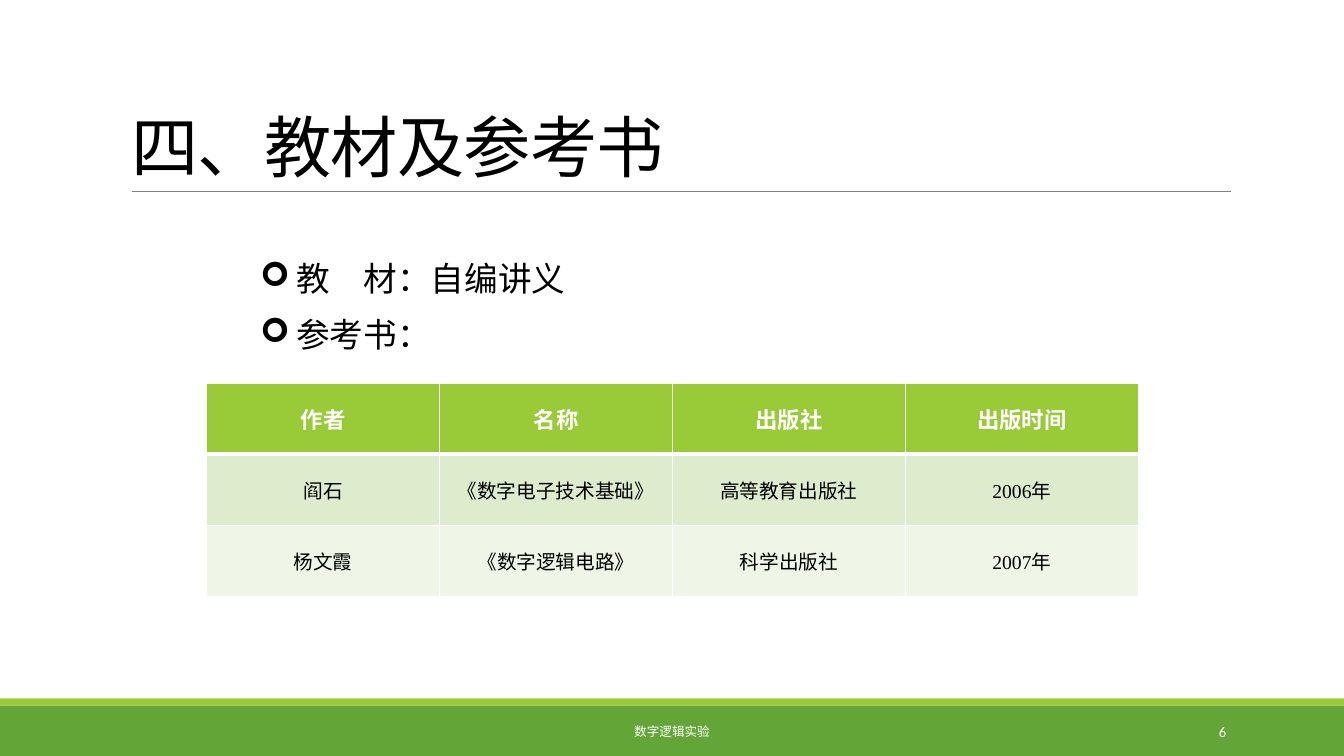
from lxml import etree
from pptx import Presentation
from pptx.dml.color import RGBColor
from pptx.enum.shapes import MSO_CONNECTOR, MSO_SHAPE
from pptx.enum.text import MSO_ANCHOR, MSO_AUTO_SIZE, PP_ALIGN
from pptx.oxml.ns import qn
from pptx.util import Inches, Pt

RECTANGLE = MSO_SHAPE.RECTANGLE
STRAIGHT = MSO_CONNECTOR.STRAIGHT
TOP, MIDDLE, BOTTOM = MSO_ANCHOR.TOP, MSO_ANCHOR.MIDDLE, MSO_ANCHOR.BOTTOM
LEFT, CENTER, RIGHT = PP_ALIGN.LEFT, PP_ALIGN.CENTER, PP_ALIGN.RIGHT
NO_AUTOFIT = MSO_AUTO_SIZE.NONE

BLACK, WHITE, GRAY = "000000", "FFFFFF", "808080"
GREEN, LIME = "63A537", "99CB38"
ROW_FILLS = [LIME, "DEECCE", "EFF6E8"]

BOOKS = [
    ["作者", "名称", "出版社", "出版时间"],
    ["阎石", "《数字电子技术基础》", "高等教育出版社", "2006年"],
    ["杨文霞", "《数字逻辑电路》", "科学出版社", "2007年"],
]


def rgb(value):
    return RGBColor.from_string(value)


def place(shape, left, top, width, height):
    shape.left, shape.top = Inches(left), Inches(top)
    shape.width, shape.height = Inches(width), Inches(height)


def format_runs(paragraph, size, color, font="Calibri", bold=False):
    for run in paragraph.runs:
        run.font.size = Pt(size)
        run.font.name = font
        run.font.bold = bold
        run.font.color.rgb = rgb(color)


def add_band(slide, top, height, color):
    band = slide.shapes.add_shape(RECTANGLE, 0, Inches(top), Inches(13.33), Inches(height))
    band.shadow.inherit = False
    band.fill.solid()
    band.fill.fore_color.rgb = rgb(color)
    band.line.fill.background()


def add_title_rule(slide):
    rule = slide.shapes.add_connector(
        STRAIGHT, Inches(1.31), Inches(1.9), Inches(12.21), Inches(1.9))
    rule.line.color.rgb = rgb(GRAY)
    rule.line.width = Pt(0.5)
    etree.SubElement(rule._element.spPr, qn("a:effectLst"))


def fill_title(title, text):
    place(title, 1.2, 0.31, 11, 1.59)
    frame = title.text_frame
    frame.text = text
    frame.auto_size = NO_AUTOFIT
    frame.vertical_anchor = BOTTOM
    paragraph = frame.paragraphs[0]
    paragraph.alignment = LEFT
    paragraph.line_spacing = 0.85
    format_runs(paragraph, 48, BLACK)
    paragraph.runs[0].font._element.set("spc", "-50")


def set_bullet(paragraph, symbol, indent):
    properties = paragraph._p.get_or_add_pPr()
    properties.set("marL", str(Inches(indent)))
    properties.set("indent", str(-Inches(indent)))
    color = etree.SubElement(properties, qn("a:buClr"))
    etree.SubElement(color, qn("a:srgbClr"), val=BLACK)
    etree.SubElement(properties, qn("a:buFont"), typeface="Wingdings")
    etree.SubElement(properties, qn("a:buChar"), char=symbol)


def fill_list(body, items):
    place(body, 2.58, 2.55, 9.08, 1.2)
    frame = body.text_frame
    frame.text = "\n".join(items)
    frame.auto_size = NO_AUTOFIT
    frame.vertical_anchor = TOP
    frame.margin_left = frame.margin_right = 0
    for index, paragraph in enumerate(frame.paragraphs):
        set_bullet(paragraph, "➢", 0.36)
        paragraph.line_spacing = 0.9
        paragraph.space_before = Pt(12 if index else 0)
        paragraph.space_after = Pt(2)
        format_runs(paragraph, 24, BLACK)


def add_footer_text(slide, text, left, width, size, alignment):
    box = slide.shapes.add_textbox(Inches(left), Inches(7.06), Inches(width), Inches(0.4))
    frame = box.text_frame
    frame.text = text
    frame.word_wrap = True
    frame.vertical_anchor = MIDDLE
    frame.paragraphs[0].alignment = alignment
    format_runs(frame.paragraphs[0], size, WHITE)


def set_borders(cell, widths):
    """Draw white borders; widths maps a side (L, R, T, B) to points."""
    properties = cell._tc.get_or_add_tcPr()
    for side, width in widths.items():
        border = etree.SubElement(properties, qn(f"a:ln{side}"), w=str(Pt(width)))
        fill = etree.SubElement(border, qn("a:solidFill"))
        etree.SubElement(fill, qn("a:srgbClr"), val=WHITE)


def add_book_table(slide, rows):
    table = slide.shapes.add_table(
        len(rows), len(rows[0]), Inches(2.05), Inches(3.8), Inches(9.24), Inches(2.12)).table
    for row_index, row in enumerate(rows):
        header = row_index == 0
        borders = {"L": 1, "R": 1, "T": 3 if row_index == 1 else 1, "B": 3 if header else 1}
        for column_index, text in enumerate(row):
            cell = table.cell(row_index, column_index)
            set_borders(cell, borders)
            cell.fill.solid()
            cell.fill.fore_color.rgb = rgb(ROW_FILLS[row_index])
            cell.vertical_anchor = MIDDLE
            cell.margin_left = cell.margin_right = Inches(0.07)
            cell.margin_top = cell.margin_bottom = 0
            cell.text_frame.text = text
            paragraph = cell.text_frame.paragraphs[0]
            paragraph.alignment = CENTER
            format_runs(paragraph, 16 if header else 14, WHITE if header else BLACK,
                        "Times New Roman", header)


def main():
    deck = Presentation()
    deck.slide_width, deck.slide_height = Inches(13.33), Inches(7.5)
    slide = deck.slides.add_slide(deck.slide_layouts[1])
    add_band(slide, 7, 0.5, GREEN)
    add_band(slide, 6.93, 0.07, LIME)
    add_title_rule(slide)
    fill_title(slide.shapes.title, "四、教材及参考书")
    fill_list(slide.placeholders[1], ["教　材：自编讲义", "参考书："])
    add_footer_text(slide, "数字逻辑实验", 4.03, 5.27, 9, CENTER)
    add_footer_text(slide, "6", 10.83, 1.43, 10.5, RIGHT)
    add_book_table(slide, BOOKS)
    deck.save("out.pptx")


if __name__ == "__main__":
    main()
